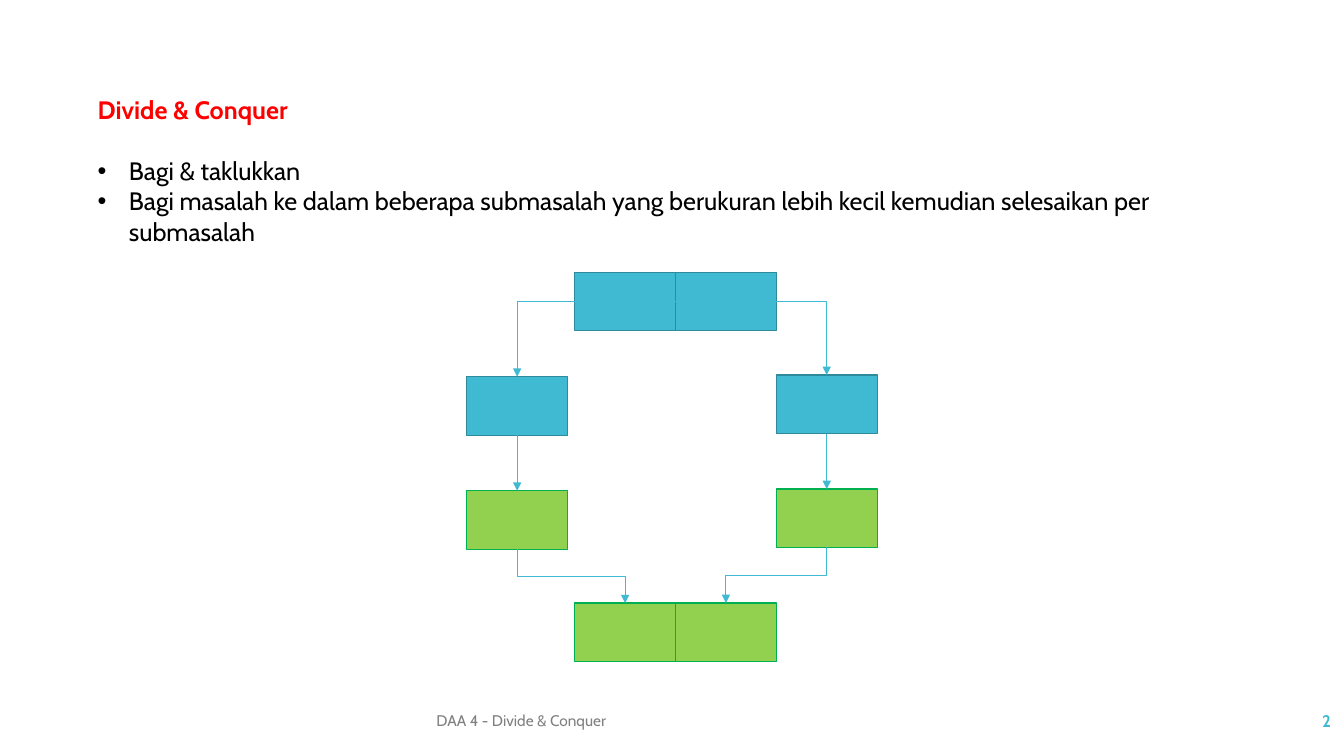
import dataclasses

import pptx
import pptx.dml.color
import pptx.enum.shapes
import pptx.enum.text
import pptx.oxml
import pptx.oxml.ns
import pptx.util

FONT = "Cabin"
BLUE, BLUE_EDGE = "40BAD2", "2F8A9B"
GREEN, GREEN_EDGE = "92D050", "00B050"
GRID_LEFT, GRID_TOP = 5.7, 2.7
COLUMN, ROW = 1.0, 0.58
LEFT_COLUMN, RIGHT_COLUMN = -1.07, 2.0
BOTTOM_ROW = 5.66


@dataclasses.dataclass(frozen=True)
class Block:
    column: float
    row: float
    fill: str
    edge: str


@dataclasses.dataclass(frozen=True)
class Label:
    left: float
    top: float
    width: float
    height: float
    lines: tuple[str, ...]
    size: float
    color: str
    bold: bool = False
    align: str = "LEFT"
    anchor: str = "MIDDLE"


@dataclasses.dataclass(frozen=True)
class Branch:
    column: float
    problem_row: float
    solution_row: float
    merged_column: float


BRANCHES = (
    Branch(LEFT_COLUMN, 1.79, 3.74, 0),
    Branch(RIGHT_COLUMN, 1.76, 3.71, 1),
)
BODY = Label(
    0.87, 0.89, 11.91, 1.31,
    (
        "Divide & Conquer",
        "Bagi & taklukkan",
        "Bagi masalah ke dalam beberapa submasalah yang berukuran lebih kecil "
        "kemudian selesaikan per submasalah",
    ),
    18, "000000", anchor="TOP",
)
FOOTER = Label(4.23, 6.95, 6.46, 0.4, ("DAA 4 - Divide & Conquer",), 11, "808080")
PAGE_NUMBER = Label(11.63, 6.95, 1.67, 0.4, ("2",), 12, BLUE, True, "RIGHT")


def rgb(value: str) -> pptx.dml.color.RGBColor:
    return pptx.dml.color.RGBColor.from_string(value)


def grid_x(column: float) -> int:
    return pptx.util.Inches(GRID_LEFT + column * COLUMN)


def grid_y(row: float) -> int:
    return pptx.util.Inches(GRID_TOP + row * ROW)


def add_label(page, label: Label):
    bounds = (label.left, label.top, label.width, label.height)
    box = page.shapes.add_textbox(*(pptx.util.Inches(length) for length in bounds))
    frame = box.text_frame
    frame.text = "\n".join(label.lines)
    frame.word_wrap = True
    frame.vertical_anchor = pptx.enum.text.MSO_ANCHOR[label.anchor]
    for para in frame.paragraphs:
        para.alignment = pptx.enum.text.PP_ALIGN[label.align]
        for span in para.runs:
            span.font.name = FONT
            span.font.size = pptx.util.Pt(label.size)
            span.font.bold = label.bold
            span.font.color.rgb = rgb(label.color)
    return box


def add_bullet(para) -> None:
    properties = para._p.get_or_add_pPr()
    indent = pptx.util.Inches(0.31)
    properties.set("marL", str(indent))
    properties.set("indent", str(-indent))
    namespace = pptx.oxml.ns.nsdecls("a")
    properties.append(pptx.oxml.parse_xml(f'<a:buFont {namespace} typeface="Arial"/>'))
    properties.append(pptx.oxml.parse_xml(f'<a:buChar {namespace} char="•"/>'))


def add_body(page) -> None:
    heading, *points = add_label(page, BODY).text_frame.paragraphs
    heading.runs[0].font.bold = True
    heading.runs[0].font.color.rgb = rgb("FF0000")
    points[0].space_before = pptx.util.Pt(21.8)
    for para in points:
        add_bullet(para)


def add_block(page, block: Block) -> None:
    box = page.shapes.add_shape(
        pptx.enum.shapes.MSO_SHAPE.RECTANGLE,
        grid_x(block.column), grid_y(block.row),
        pptx.util.Inches(COLUMN), pptx.util.Inches(ROW),
    )
    box.shadow.inherit = False
    box.fill.solid()
    box.fill.fore_color.rgb = rgb(block.fill)
    box.line.color.rgb = rgb(block.edge)
    box.line.width = pptx.util.Pt(0.85)


def add_arrow(page, kind: str, start: tuple[int, int], end: tuple[int, int]):
    arrow = page.shapes.add_connector(
        pptx.enum.shapes.MSO_CONNECTOR[kind], *start, *end
    )
    arrow.line.color.rgb = rgb(BLUE)
    arrow.line.width = pptx.util.Pt(0.75)
    namespace = pptx.oxml.ns.nsdecls("a")
    arrow.line._get_or_add_ln().append(
        pptx.oxml.parse_xml(f'<a:tailEnd {namespace} type="triangle"/>')
    )
    arrow._element.spPr.append(pptx.oxml.parse_xml(f"<a:effectLst {namespace}/>"))
    return arrow


def add_corner_arrow(page, start: tuple[int, int], end: tuple[int, int]) -> None:
    arrow = add_arrow(page, "ELBOW", start, end)
    geometry = arrow._element.spPr.find(pptx.oxml.ns.qn("a:prstGeom"))
    geometry.set("prst", "bentConnector2")


def add_step_arrow(page, start: tuple[int, int], end: tuple[int, int]) -> None:
    middle_x, middle_y = (start[0] + end[0]) // 2, (start[1] + end[1]) // 2
    half_x, half_y = (end[0] - start[0]) // 2, (end[1] - start[1]) // 2
    arrow = add_arrow(
        page, "ELBOW",
        (middle_x - half_y, middle_y + half_x),
        (middle_x + half_y, middle_y - half_x),
    )
    transform = arrow._element.spPr.find(pptx.oxml.ns.qn("a:xfrm"))
    transform.set("rot", str(90 * 60000))


def add_diagram(page) -> None:
    for column in range(2):
        add_block(page, Block(column, 0, BLUE, BLUE_EDGE))
        add_block(page, Block(column, BOTTOM_ROW, GREEN, GREEN_EDGE))
    for branch in BRANCHES:
        add_block(page, Block(branch.column, branch.problem_row, BLUE, BLUE_EDGE))
        add_block(page, Block(branch.column, branch.solution_row, GREEN, GREEN_EDGE))
    for branch in BRANCHES:
        center = grid_x(branch.column + 0.5)
        merged_center = grid_x(branch.merged_column + 0.5)
        add_corner_arrow(
            page, (grid_x(1), grid_y(0.5)), (center, grid_y(branch.problem_row))
        )
        add_arrow(
            page, "STRAIGHT",
            (center, grid_y(branch.problem_row + 1)),
            (center, grid_y(branch.solution_row)),
        )
        add_step_arrow(
            page,
            (center, grid_y(branch.solution_row + 1)),
            (merged_center, grid_y(BOTTOM_ROW)),
        )


def main() -> None:
    deck = pptx.Presentation()
    deck.slide_width = pptx.util.Inches(13.33)
    deck.slide_height = pptx.util.Inches(7.5)
    page = deck.slides.add_slide(deck.slide_layouts[6])
    add_label(page, FOOTER)
    add_label(page, PAGE_NUMBER)
    add_body(page)
    add_diagram(page)
    deck.save("out.pptx")


if __name__ == "__main__":
    main()
